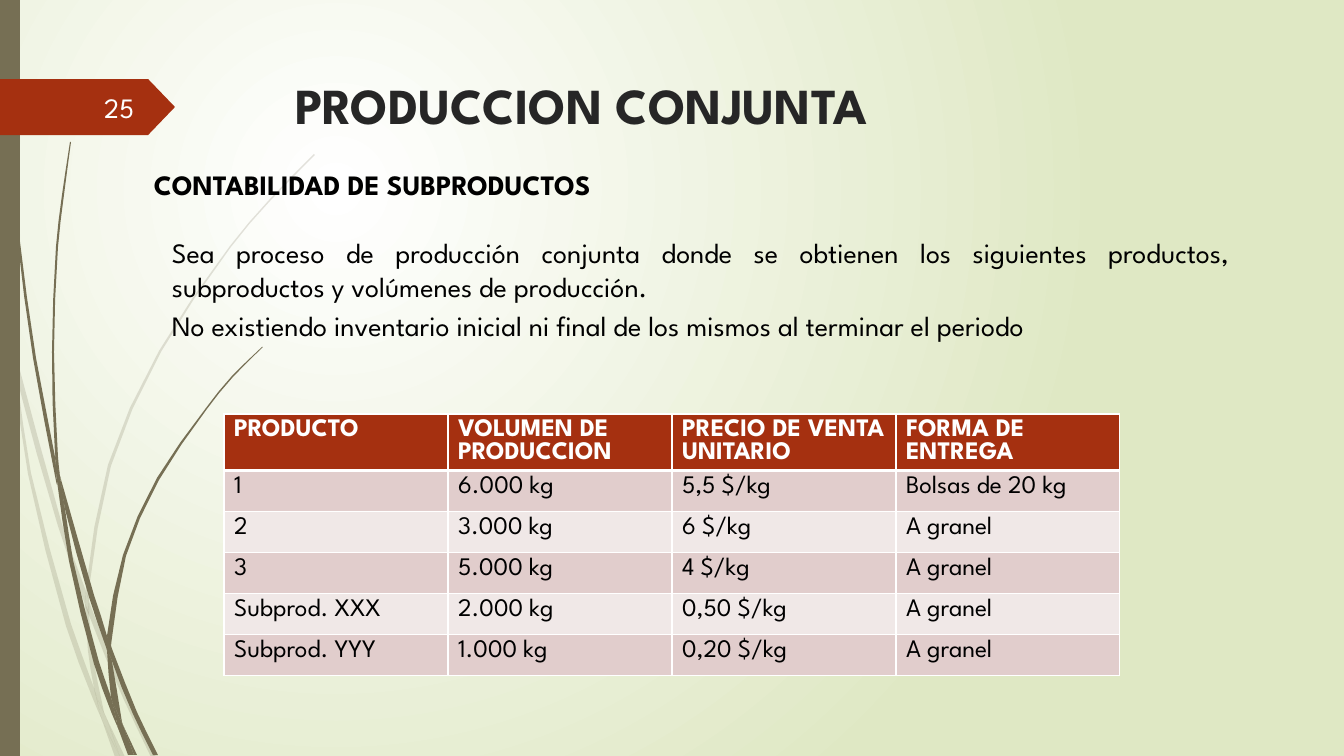
from lxml import etree
from pptx import Presentation
from pptx.dml.color import RGBColor
from pptx.enum.shapes import MSO_SHAPE
from pptx.enum.text import MSO_ANCHOR, PP_ALIGN
from pptx.oxml import parse_xml
from pptx.oxml.ns import qn
from pptx.util import Emu, Pt

RECTANGLE, PENTAGON = MSO_SHAPE.RECTANGLE, MSO_SHAPE.PENTAGON
TOP, MIDDLE = MSO_ANCHOR.TOP, MSO_ANCHOR.MIDDLE
LEFT, RIGHT, JUSTIFY = PP_ALIGN.LEFT, PP_ALIGN.RIGHT, PP_ALIGN.JUSTIFY
PX = 914400 / 100.8
FONT = "League Spartan"
COLORS = {
    "white": "FFFFFF", "meadow": "DFE8C4", "olive": "766F54", "rust": "A53010",
    "title": "262626", "number": "FEFFFF", "black": "000000",
    "band_dark": "E1CDCC", "band_light": "F0E8E7",
}
DRAWING_NS = "http://schemas.openxmlformats.org/drawingml/2006/main"

# Each piece of grass has a left and a right edge, both listed from top to bottom.
PALE_GRASS = [
    ([(0, 301), (10, 347), (11, 353)], [(0, 284), (6, 311), (9, 325), (11, 353)]),
    ([(14, 348), (17, 379), (58, 526), (85, 604)], [(14, 348), (62, 524), (86, 591)]),
    ([(89, 601), (89, 615), (124, 700), (151, 757)],
     [(89, 601), (93, 612), (128, 698), (156, 757)]),
    ([(106, 717), (120, 757)], [(106, 717), (125, 757)]),
    ([(11, 353), (28, 474), (66, 626), (93, 699), (102, 720)],
     [(11, 353), (17, 379), (31, 473), (71, 624), (94, 688), (100, 713), (102, 720)]),
    ([(85, 604), (88, 651), (94, 688), (97, 698), (106, 717)],
     [(85, 604), (89, 613), (92, 651), (104, 712), (106, 717)]),
    ([(314, 154), (270, 199), (230, 246), (159, 351), (108, 465), (86, 589), (89, 601)],
     [(315, 155), (271, 200), (231, 247), (161, 352), (111, 466), (89, 589), (89, 601)]),
    ([(102, 720), (115, 757)], [(102, 720), (120, 757)]),
    ([(86, 591), (85, 604), (89, 615)], [(86, 591), (89, 601), (89, 615)]),
    ([(94, 688), (100, 713), (102, 720), (120, 757)],
     [(94, 688), (97, 698), (106, 717), (120, 757)]),
]
DARK_GRASS = [
    ([(3, 0), (4, 48), (7, 111), (17, 235), (33, 358), (56, 481), (57, 485)],
     [(4, 0), (5, 48), (8, 110), (19, 234), (36, 358), (55, 457), (57, 485)]),
    ([(60, 476), (65, 509), (89, 597), (107, 650)],
     [(60, 476), (94, 595), (107, 636), (107, 650)]),
    ([(111, 646), (112, 661), (133, 714), (153, 755)],
     [(111, 646), (114, 654), (137, 712), (158, 755)]),
    ([(57, 481), (69, 561), (94, 664), (112, 714), (118, 728)],
     [(57, 481), (65, 509), (73, 560), (99, 662), (111, 697), (117, 723), (118, 728)]),
    ([(70, 142), (62, 195), (56, 247), (52, 352), (55, 453), (60, 476)],
     [(71, 142), (64, 195), (58, 247), (54, 352), (58, 457), (60, 476)]),
    ([(123, 725), (134, 755)], [(123, 725), (137, 755)]),
    ([(55, 453), (57, 481), (65, 509)], [(55, 453), (60, 476), (65, 509)]),
    ([(262, 347), (232, 376), (206, 408), (157, 478), (123, 555), (107, 636), (111, 646)],
     [(263, 347), (233, 377), (207, 409), (159, 480), (126, 556), (112, 638), (111, 646)]),
    ([(118, 728), (128, 755)], [(118, 728), (132, 755)]),
    ([(107, 650), (111, 697), (117, 712), (123, 725)],
     [(107, 650), (110, 656), (112, 661), (122, 722), (123, 725)]),
    ([(107, 636), (107, 650), (110, 656), (112, 661)], [(107, 636), (111, 646), (112, 661)]),
    ([(111, 697), (117, 723), (118, 728), (131, 755)],
     [(111, 697), (117, 712), (123, 725), (134, 755)]),
]
PRODUCTS = [
    ["PRODUCTO", "VOLUMEN DE PRODUCCION", "PRECIO DE VENTA UNITARIO", "FORMA DE ENTREGA"],
    ["1", "6.000 kg", "5,5 $/kg", "Bolsas de 20 kg"],
    ["2", "3.000 kg", "6 $/kg", "A granel"],
    ["3", "5.000 kg", "4 $/kg", "A granel"],
    ["Subprod. XXX", "2.000 kg", "0,50 $/kg", "A granel"],
    ["Subprod. YYY", "1.000 kg", "0,20 $/kg", "A granel"],
]


def px(length):
    return Emu(round(length * PX))


def rgb(name):
    return RGBColor.from_string(COLORS[name])


def write_text(frame, *lines, size=20, color="black", bold=False, align=LEFT, gap=0):
    for index, line in enumerate(lines):
        para = frame.add_paragraph() if index else frame.paragraphs[0]
        para.alignment = align
        if index:
            para.space_before = Pt(gap)
        span = para.add_run()
        span.text = line
        span.font.name, span.font.size, span.font.bold = FONT, Pt(size), bold
        span.font.color.rgb = rgb(color)


def add_text(page, box, *lines, anchor=TOP, **text_format):
    frame = page.shapes.add_textbox(*map(px, box)).text_frame
    frame.word_wrap, frame.vertical_anchor = True, anchor
    write_text(frame, *lines, **text_format)


def paint(shape, color, opacity=100):
    shape.shadow.inherit = False
    shape.fill.solid()
    shape.fill.fore_color.rgb = rgb(color)
    shape.line.fill.background()
    if opacity < 100:
        tint = shape.fill._xPr.find(".//" + qn("a:srgbClr"))
        etree.SubElement(tint, qn("a:alpha")).set("val", str(opacity * 1000))


def paint_background(page):
    page.background.fill.solid()
    properties = page.background._cSld.bg.bgPr
    properties.replace(properties[0], parse_xml(
        f'<a:gradFill xmlns:a="{DRAWING_NS}" rotWithShape="1"><a:gsLst>'
        f'<a:gs pos="0"><a:srgbClr val="{COLORS["white"]}"/></a:gs>'
        f'<a:gs pos="100000"><a:srgbClr val="{COLORS["meadow"]}"/></a:gs></a:gsLst>'
        '<a:path path="circle"><a:fillToRect l="50000" t="50000" r="100000" b="100000"/>'
        '</a:path></a:gradFill>'))


def smooth_edge(knots):
    """Add the midpoint of a Hermite curve between each two knots."""
    last = len(knots) - 1
    slopes = []
    for index in range(last + 1):
        (x0, y0), (x1, y1) = knots[max(index - 1, 0)], knots[min(index + 1, last)]
        slopes.append((x1 - x0) / (y1 - y0))
    points = knots[:1]
    for index in range(last):
        (x0, y0), (x1, y1) = knots[index:index + 2]
        bend = (y1 - y0) * (slopes[index] - slopes[index + 1]) / 8
        points += [((x0 + x1) / 2 + bend, (y0 + y1) / 2), (x1, y1)]
    return points


def add_grass(page, left, right, opacity):
    edges = smooth_edge(left) + smooth_edge(right)[::-1]
    outline = [(px(x), px(y)) for x, y in edges]
    builder = page.shapes.build_freeform(*outline[0])
    builder.add_line_segments(outline[1:], close=True)
    paint(builder.convert_to_shape(), "olive", opacity)


def add_side_decoration(page, height):
    for pieces, opacity in ((PALE_GRASS, 20), (DARK_GRASS, 100)):
        for left, right in pieces:
            add_grass(page, left, right, opacity)
    paint(page.shapes.add_shape(RECTANGLE, 0, 0, px(20), px(height)), "olive")


def add_page_flag(page, box, number):
    left, top, width, height = box
    flag = page.shapes.add_shape(PENTAGON, *map(px, box))
    flag.adjustments[0] = 0.48
    paint(flag, "rust")
    add_text(page, (left + 58, top + 8, width - 89, height - 16), number,
             color="number", align=RIGHT, anchor=MIDDLE)


def add_title(page, box, text):
    title = page.shapes.title
    title.left, title.top, title.width, title.height = map(px, box)
    title.text_frame.vertical_anchor = TOP
    write_text(title.text_frame, text, size=36, color="title", bold=True)


def border_cell(cell, bottom):
    properties = cell._tc.get_or_add_tcPr()
    widths = {"lnL": 1, "lnR": 1, "lnT": 1, "lnB": bottom}
    for index, (side, width) in enumerate(widths.items()):
        properties.insert(index, parse_xml(
            f'<a:{side} xmlns:a="{DRAWING_NS}" w="{Pt(width)}"><a:solidFill>'
            f'<a:srgbClr val="{COLORS["white"]}"/></a:solidFill></a:{side}>'))


def add_product_table(page, box):
    frame = page.shapes.add_table(len(PRODUCTS), len(PRODUCTS[0]), *map(px, box))
    for row, values in enumerate(PRODUCTS):
        header = row == 0
        fill = "rust" if header else ("band_light", "band_dark")[row % 2]
        for column, value in enumerate(values):
            cell = frame.table.cell(row, column)
            cell.fill.solid()
            cell.fill.fore_color.rgb = rgb(fill)
            border_cell(cell, 3 if header else 1)
            if header:
                cell.margin_bottom = px(-9)
            write_text(cell.text_frame, value, size=18, bold=header,
                       color="white" if header else "black")


def build_slide(deck):
    page = deck.slides.add_slide(deck.slide_layouts[5])
    paint_background(page)
    add_side_decoration(page, 756)
    add_page_flag(page, (0, 79, 175, 56), "25")
    add_title(page, (285, 69, 983, 71), "PRODUCCION CONJUNTA")
    add_text(page, (144, 163, 1078, 57), "CONTABILIDAD DE SUBPRODUCTOS",
             bold=True, align=JUSTIFY)
    add_text(page, (162, 231, 1078, 121),
             "Sea proceso de producción conjunta donde se obtienen los siguientes productos, "
             "subproductos y volúmenes de producción.",
             "No existiendo inventario inicial ni final de los mismos al terminar el periodo",
             align=JUSTIFY, gap=4)
    add_product_table(page, (224, 414, 896, 246))


def main():
    deck = Presentation()
    deck.slide_width, deck.slide_height = px(1344), px(756)
    build_slide(deck)
    deck.save("out.pptx")


if __name__ == "__main__":
    main()
